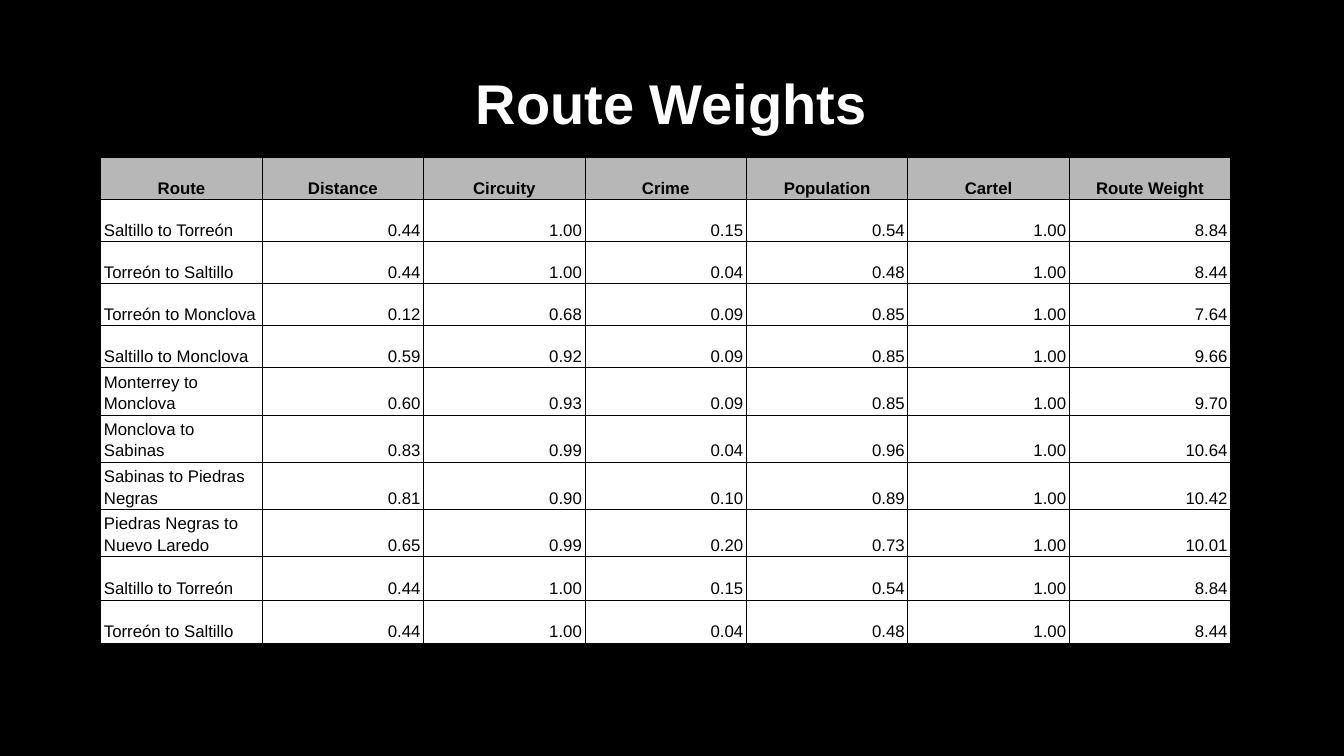
from lxml import etree
from pptx import Presentation
from pptx import util as u
from pptx.dml.color import RGBColor
from pptx.enum import text
from pptx.oxml.ns import qn

COLORS = {
    "background": "000000",
    "title": "FFFFFF",
    "header": "B7B7B7",
    "body": "FFFFFF",
    "ink": "000000",
    "border": "000000",
}
FONT = "Arial"
HEADERS = ["Route", "Distance", "Circuity", "Crime", "Population", "Cartel", "Route Weight"]
ROUTES = [
    ["Saltillo to Torreón", "0.44", "1.00", "0.15", "0.54", "1.00", "8.84"],
    ["Torreón to Saltillo", "0.44", "1.00", "0.04", "0.48", "1.00", "8.44"],
    ["Torreón to Monclova", "0.12", "0.68", "0.09", "0.85", "1.00", "7.64"],
    ["Saltillo to Monclova", "0.59", "0.92", "0.09", "0.85", "1.00", "9.66"],
    ["Monterrey to Monclova", "0.60", "0.93", "0.09", "0.85", "1.00", "9.70"],
    ["Monclova to Sabinas", "0.83", "0.99", "0.04", "0.96", "1.00", "10.64"],
    ["Sabinas to Piedras Negras", "0.81", "0.90", "0.10", "0.89", "1.00", "10.42"],
    ["Piedras Negras to Nuevo Laredo", "0.65", "0.99", "0.20", "0.73", "1.00", "10.01"],
    ["Saltillo to Torreón", "0.44", "1.00", "0.15", "0.54", "1.00", "8.84"],
    ["Torreón to Saltillo", "0.44", "1.00", "0.04", "0.48", "1.00", "8.44"],
]
UPPER_ROWS = 6  # the rows below these are slightly taller


def color(name):
    return RGBColor.from_string(COLORS[name])


def write(paragraph, words, size, color_name, bold, align, spacing):
    paragraph.alignment = align
    paragraph.line_spacing = spacing
    run = paragraph.add_run()
    run.text = words
    run.font.name = FONT
    run.font.size = u.Pt(size)
    run.font.bold = bold
    run.font.color.rgb = color(color_name)


def add_borders(cell):
    properties = cell._tc.get_or_add_tcPr()
    for side in ("lnL", "lnR", "lnT", "lnB"):
        line = etree.SubElement(properties, qn(f"a:{side}"), w=str(u.Pt(0.75)))
        fill = etree.SubElement(line, qn("a:solidFill"))
        etree.SubElement(fill, qn("a:srgbClr"), val=COLORS["border"])


def format_cell(cell, words, is_header, align):
    add_borders(cell)
    cell.fill.solid()
    cell.fill.fore_color.rgb = color("header" if is_header else "body")
    cell.vertical_anchor = text.MSO_ANCHOR.BOTTOM
    cell.margin_left = cell.margin_right = u.Cm(0.08)
    cell.margin_top = cell.margin_bottom = u.Cm(0.05)
    write(cell.text_frame.paragraphs[0], words, 12, "ink", is_header, align, 1.15)


def place_title(slide, left, top, width, height):
    title = slide.shapes.title
    title.left, title.top, title.width, title.height = left, top, width, height
    frame = title.text_frame
    frame.word_wrap = True
    frame.auto_size = text.MSO_AUTO_SIZE.NONE
    frame.vertical_anchor = text.MSO_ANCHOR.MIDDLE
    write(frame.paragraphs[0], "Route Weights", 40, "title", True, text.PP_ALIGN.CENTER, 0.9)


def place_route_table(slide, left, top, width, height):
    rows = [HEADERS] + ROUTES
    table = slide.shapes.add_table(len(rows), len(HEADERS), left, top, width, height).table
    table.horz_banding = False
    for column in table.columns:
        column.width = width // len(HEADERS)
    for row_index, values in enumerate(rows):
        is_header = row_index == 0
        table.rows[row_index].height = u.Cm(1.06 if row_index < UPPER_ROWS else 1.09)
        for column_index, words in enumerate(values):
            if is_header:
                align = text.PP_ALIGN.CENTER
            elif column_index == 0:
                align = text.PP_ALIGN.LEFT
            else:
                align = text.PP_ALIGN.RIGHT
            format_cell(table.cell(row_index, column_index), words, is_header, align)


def main():
    presentation = Presentation()
    presentation.slide_width = u.Cm(33.87)
    presentation.slide_height = u.Cm(19.05)

    # Title-only slide on a black background
    slide = presentation.slides.add_slide(presentation.slide_layouts[5])
    slide.background.fill.solid()
    slide.background.fill.fore_color.rgb = color("background")

    # Title above the table of weights
    place_title(slide, u.Cm(2.54), u.Cm(0.84), u.Cm(28.75), u.Cm(3.68))
    place_route_table(slide, u.Cm(2.54), u.Cm(3.97), u.Cm(28.48), u.Cm(11.8))

    presentation.save("out.pptx")


if __name__ == "__main__":
    main()
